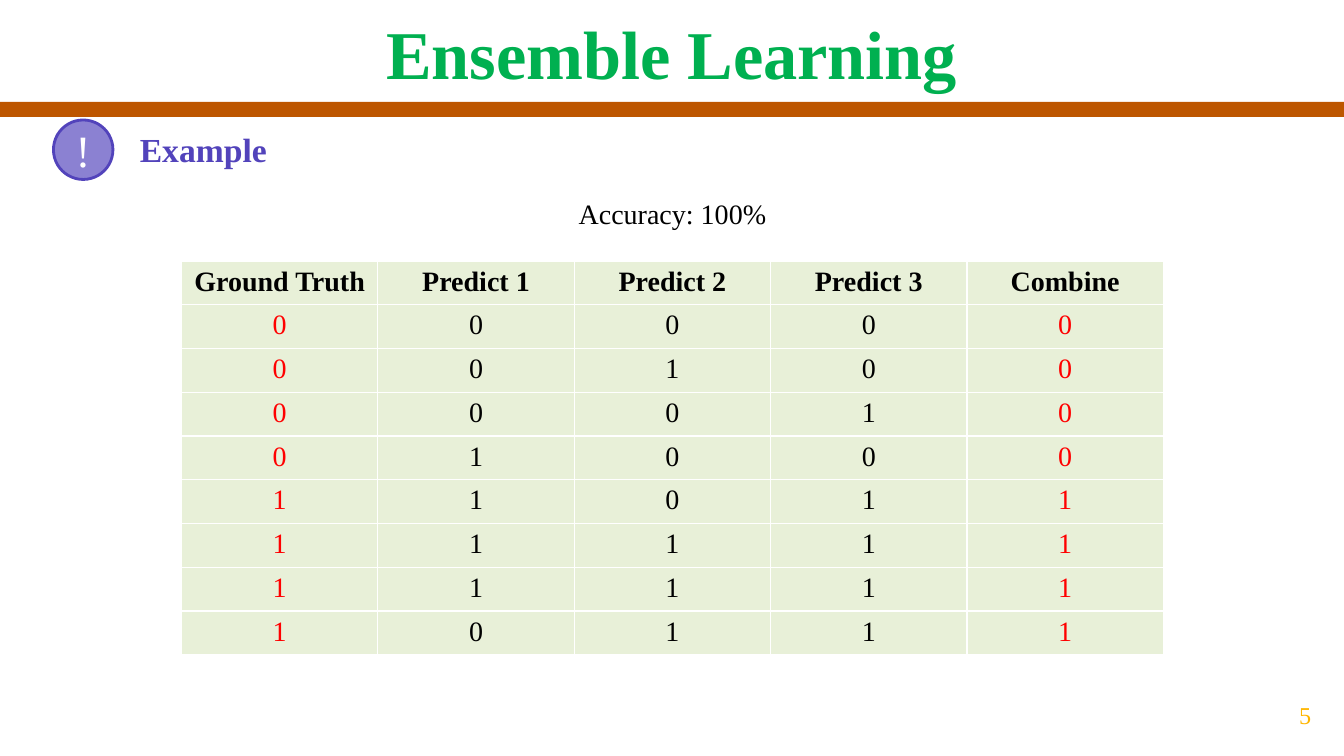
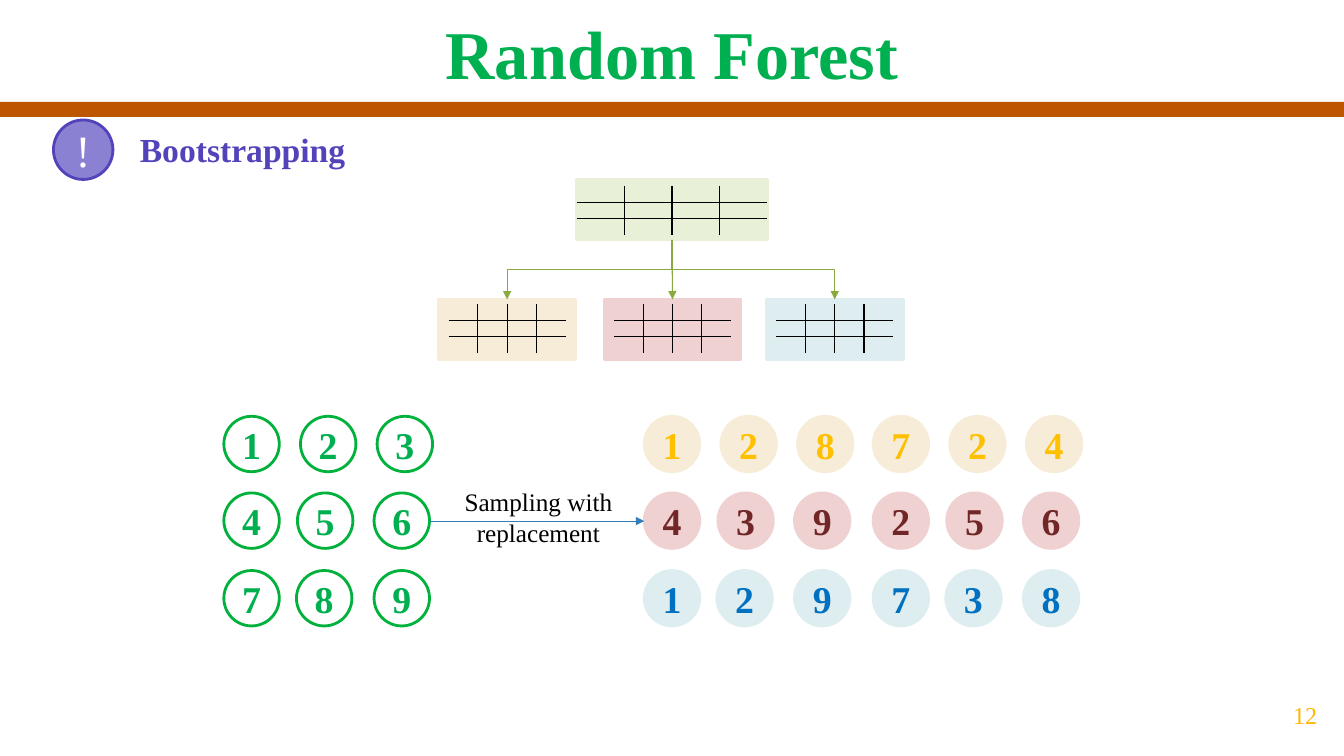
from lxml import etree
from pptx import Presentation
from pptx.dml.color import RGBColor
from pptx.enum import shapes, text
from pptx.oxml.ns import qn
from pptx.util import Inches, Pt

FONT = "Times New Roman"
BLACK, WHITE, RED = "000000", "FFFFFF", "FF0000"
BAND, TITLE, PAGE = "BD5600", "00B050", "FFB600"
PURPLE, LILAC = "5243BB", "8B81D2"
GREEN, CREAM, PINK, BLUE = "E8F0D8", "F7ECD7", "EFD1D1", "DDEDF0"
RING, TREE_LINE, ARROW = "00B13C", "89AA3E", "367EB9"
NO_STYLE = "{2D5ABB26-0587-4C30-8999-92F81FD0307C}"

HEADERS = ["Ground Truth", "Predict 1", "Predict 2", "Predict 3", "Combine"]
PREDICTIONS = ["00000", "00100", "00010", "01000",
               "11011", "11111", "11111", "10111"]

SOURCE_BOX = (5.72, 1.78, 1.89, 0.6)
SAMPLE_TOP, SAMPLE_W, SAMPLE_H = 2.97, 1.36, 0.6
SAMPLE_BOXES = [(4.35, CREAM), (5.99, PINK), (7.6, BLUE)]

CIRCLE = 0.55
GROUP_LEFTS = [2.22, 6.39, 8.66]
# top, offsets inside a group of three, digits, sample fill, sample text colour
CIRCLE_ROWS = [
    (4.13, (0, 0.76, 1.52), "123128724", CREAM, "FFC000"),
    (4.89, (0, 0.73, 1.49), "456439256", PINK, "712627"),
    (5.66, (0, 0.72, 1.49), "789129738", BLUE, "0070C0"),
]


def rgb(color):
    return RGBColor.from_string(color)


def write(tf, content, size, color=BLACK, bold=False, align="CENTER", anchor="TOP",
          wrap=True, inset=None):
    tf.word_wrap = wrap
    tf.vertical_anchor = text.MSO_ANCHOR[anchor]
    if inset is not None:
        tf.margin_left = tf.margin_right = tf.margin_top = tf.margin_bottom = Inches(inset)
    p = tf.paragraphs[0]
    p.alignment = text.PP_ALIGN[align]
    r = p.add_run()
    r.text = content
    r.font.name, r.font.size, r.font.bold = FONT, Pt(size), bold
    r.font.color.rgb = rgb(color)


def add_text(s, box, content, size, **fmt):
    sp = s.shapes.add_textbox(*map(Inches, box))
    write(sp.text_frame, content, size, **fmt)


def add_shape(s, kind, box, fill, line=None):
    sp = s.shapes.add_shape(shapes.MSO_SHAPE[kind], *map(Inches, box))
    sp.shadow.inherit = False
    sp.fill.solid()
    sp.fill.fore_color.rgb = rgb(fill)
    if line:
        sp.line.color.rgb = rgb(line)
        sp.line.width = Pt(2)
    else:
        sp.line.fill.background()
    return sp


def add_arrow(s, kind, x1, y1, x2, y2, color):
    c = s.shapes.add_connector(shapes.MSO_CONNECTOR[kind], *map(Inches, (x1, y1, x2, y2)))
    c.line.color.rgb = rgb(color)
    c.line.width = Pt(0.75)
    etree.SubElement(c.line._get_or_add_ln(), qn("a:tailEnd"), type="triangle")
    etree.SubElement(c._element.spPr, qn("a:effectLst"))
    return c


def add_branch(s, x1, y1, x2, y2):
    """Elbow arrow that leaves and arrives vertically: a turned horizontal elbow."""
    cx, cy = (x1 + x2) / 2, (y1 + y2) / 2
    half_w, half_h = (y2 - y1) / 2, abs(x2 - x1) / 2
    to_right = x2 > x1
    if to_right:
        half_w = -half_w
    c = add_arrow(s, "ELBOW", cx - half_w, cy - half_h, cx + half_w, cy + half_h, TREE_LINE)
    turn = 270 if to_right else 90
    c._element.spPr.find(qn("a:xfrm")).set("rot", str(turn * 60000))


def add_border(cell, side):
    ln = etree.SubElement(cell._tc.get_or_add_tcPr(), qn(f"a:ln{side}"), w=str(Pt(1)))
    fill = etree.SubElement(ln, qn("a:solidFill"))
    etree.SubElement(fill, qn("a:srgbClr"), val=BLACK)


def add_grid(s, left, top, width, rows=3, cols=4, row_height=0.16):
    """Small empty table that shows only its inner lines."""
    box = map(Inches, (left, top, width, rows * row_height))
    table = s.shapes.add_table(rows, cols, *box).table
    table.first_row = table.horz_banding = False
    table._tbl.tblPr.find(qn("a:tableStyleId")).text = NO_STYLE
    for i in range(rows):
        for j in range(cols):
            cell = table.cell(i, j)
            cell.margin_left = cell.margin_right = cell.margin_top = cell.margin_bottom = 0
            p = cell.text_frame.paragraphs[0]
            etree.SubElement(p._p, qn("a:endParaRPr"), sz="100")
            inner = {"L": j > 0, "R": j < cols - 1, "T": i > 0, "B": i < rows - 1}
            for side in inner:
                if inner[side]:
                    add_border(cell, side)
            cell.fill.background()


def add_slide(prs, title, heading, number):
    s = prs.slides.add_slide(prs.slide_layouts[6])
    add_shape(s, "RECTANGLE", (0, 1.01, 13.33, 0.15), BAND)
    add_text(s, (0, 0.06, 13.33, 0.95), title, 48.8, color=TITLE, bold=True)
    sp = add_shape(s, "ROUNDED_RECTANGLE", (1.26, 1.18, 11.53, 0.6), WHITE)
    write(sp.text_frame, heading, 24, color=PURPLE, bold=True, align="LEFT", anchor="MIDDLE")
    sp = add_shape(s, "OVAL", (0.53, 1.19, 0.59, 0.59), LILAC, PURPLE)
    write(sp.text_frame, "!", 32, color=WHITE, anchor="MIDDLE", wrap=False)
    add_text(s, (12.55, 6.69, 0.79, 0.81), number, 17.3, color=PAGE, anchor="MIDDLE", inset=0.1)
    return s


def add_predictions(s):
    add_text(s, (5.63, 1.9, 2.08, 0.44), "Accuracy: 100%", 20, wrap=False)
    rows = [HEADERS, *PREDICTIONS]
    box = map(Inches, (1.8, 2.59, 9.74, 3.9))
    table = s.shapes.add_table(len(rows), len(HEADERS), *box).table
    table.horz_banding = False
    for i, row in enumerate(rows):
        for j, value in enumerate(row):
            cell = table.cell(i, j)
            cell.fill.solid()
            cell.fill.fore_color.rgb = rgb(GREEN)
            is_label = i > 0 and j in (0, len(HEADERS) - 1)
            write(cell.text_frame, value, 20, color=RED if is_label else BLACK, bold=i == 0)


def add_sample_tree(s):
    left, top, width, height = SOURCE_BOX
    source = add_shape(s, "RECTANGLE", SOURCE_BOX, GREEN, GREEN)
    add_grid(s, left, top + 0.07, width)
    center, bottom = left + width / 2, top + height
    for x, fill in SAMPLE_BOXES:
        sample = add_shape(s, "RECTANGLE", (x, SAMPLE_TOP, SAMPLE_W, SAMPLE_H), fill, fill)
        add_grid(s, x + 0.1, SAMPLE_TOP + 0.05, SAMPLE_W - 0.2)
        target = x + SAMPLE_W / 2
        if abs(target - center) < 0.02:
            c = add_arrow(s, "STRAIGHT", center, bottom, target, SAMPLE_TOP, TREE_LINE)
            c.begin_connect(source, 2)
            c.end_connect(sample, 0)
        else:
            add_branch(s, center, bottom, target, SAMPLE_TOP)


def add_circles(s):
    for top, offsets, digits, fill, color in CIRCLE_ROWS:
        lefts = [left + dx for left in GROUP_LEFTS for dx in offsets]
        for k, (x, digit) in enumerate(zip(lefts, digits)):
            is_sample = k >= len(offsets)
            colors = (fill, fill) if is_sample else (WHITE, RING)
            sp = add_shape(s, "OVAL", (x, top, CIRCLE, CIRCLE), *colors)
            write(sp.text_frame, digit, 27, color=color if is_sample else TITLE,
                  bold=True, anchor="MIDDLE", wrap=False, inset=0)
    add_arrow(s, "STRAIGHT", 4.27, 5.17, 6.39, 5.17, ARROW)
    add_text(s, (4.29, 4.78, 2.1, 0.71), "Sampling with replacement", 18)


def main():
    prs = Presentation()
    prs.slide_width, prs.slide_height = Inches(13.33), Inches(7.5)
    add_predictions(add_slide(prs, "Ensemble Learning", "Example", "5"))
    s = add_slide(prs, "Random Forest", "Bootstrapping", "12")
    add_sample_tree(s)
    add_circles(s)
    prs.save("out.pptx")


if __name__ == "__main__":
    main()
